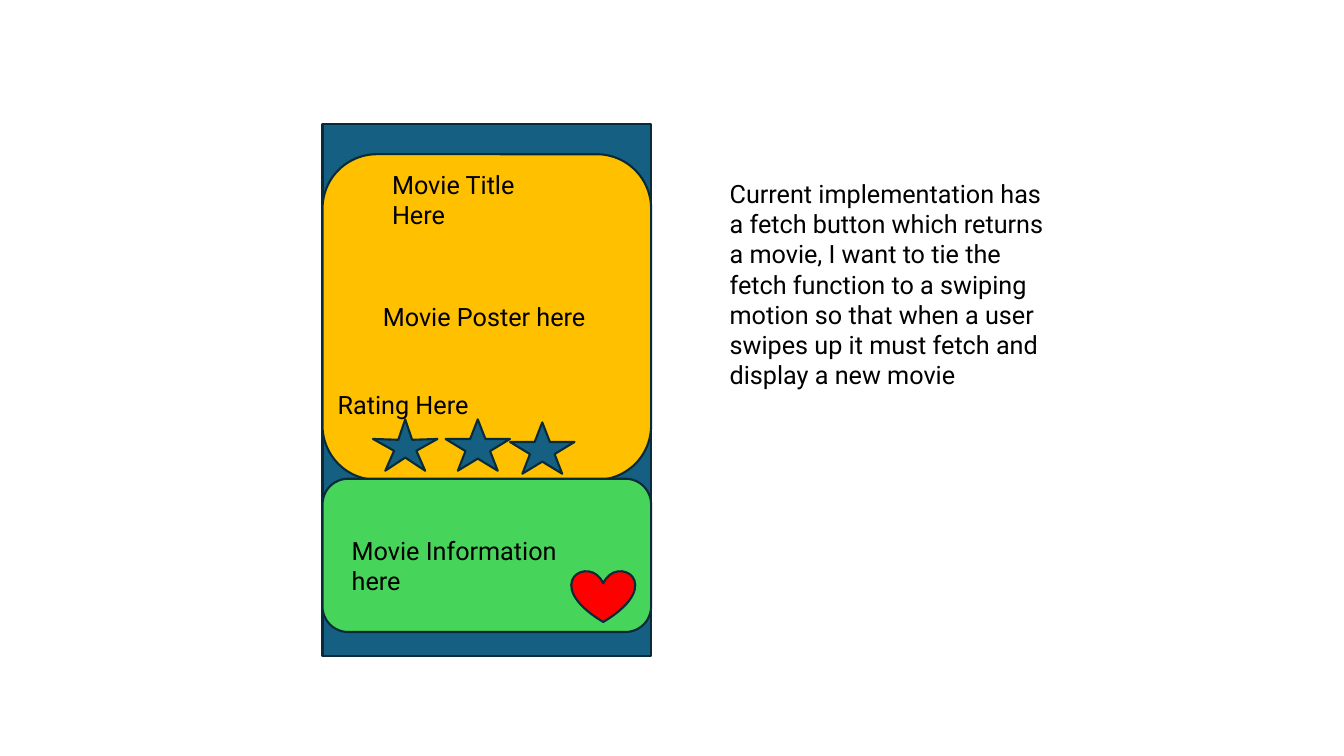
from pptx import Presentation
from pptx import util as u
from pptx.dml.color import RGBColor
from pptx.enum import shapes, text

BLUE = RGBColor(0x15, 0x60, 0x82)
NAVY = RGBColor(0x09, 0x2A, 0x39)
AMBER = RGBColor(0xFF, 0xC0, 0x00)
GREEN = RGBColor(0x47, 0xD4, 0x5A)
RED = RGBColor(0xFF, 0x00, 0x00)
BLACK = RGBColor(0x00, 0x00, 0x00)

WIDTH, HEIGHT = u.Inches(13.33), u.Inches(7.5)
PHONE_LEFT, PHONE_WIDTH = 24, 24.45
STAR_WIDTH, ICON_HEIGHT = 4.8, 6.8
LINE_HEIGHT = 5.33
SLIM_STAR = 0.173

KIND = shapes.MSO_SHAPE
PANELS = [
    (KIND.RECTANGLE, BLUE, 16.4, 70.4),
    (KIND.ROUNDED_RECTANGLE, AMBER, 20.4, 43.07),
    (KIND.ROUNDED_RECTANGLE, GREEN, 63.33, 20.27),
]
STARS = [(27.75, 55.47), (33.15, 55.47), (37.95, 55.87)]
HEART = (42.52, 75.47, 4.73, ICON_HEIGHT)
LABELS = [
    ("Movie Poster here", 27.75, 39.2, 16.8, LINE_HEIGHT),
    ("Movie Information here", 25.43, 70.13, 20.7, LINE_HEIGHT),
    ("Rating Here", 24.38, 50.8, 13.28, LINE_HEIGHT),
    ("Movie Title Here", 28.43, 21.73, 14.93, LINE_HEIGHT),
    ("Current implementation has a fetch button which returns a movie, "
     "I want to tie the fetch function to a swiping motion so that when "
     "a user swipes up it must fetch and display a new movie",
     53.55, 22.93, 25.28, 29.6),
]
FRAME_FORMAT = {"word_wrap": True, "auto_size": text.MSO_AUTO_SIZE.SHAPE_TO_FIT_TEXT}
FONT_FORMAT = {"name": "Roboto", "size": u.Pt(18)}


def place(left, top, width, height):
    return [int(share * side / 100) for share, side in
            zip((left, top, width, height), (WIDTH, HEIGHT) * 2)]


def add_figure(page, kind, color, *shares):
    figure = page.shapes.add_shape(kind, *place(*shares))
    figure.shadow.inherit = False
    figure.fill.solid()
    figure.fill.fore_color.rgb = color
    figure.line.color.rgb = NAVY
    figure.line.width = u.Pt(1.5)
    return figure


def add_label(page, words, *shares):
    frame = page.shapes.add_textbox(*place(*shares)).text_frame
    span = frame.paragraphs[0].add_run()
    span.text = words
    for target, values in ((frame, FRAME_FORMAT), (span.font, FONT_FORMAT)):
        for name, value in values.items():
            setattr(target, name, value)
    span.font.color.rgb = BLACK


def main():
    deck = Presentation()
    deck.slide_width, deck.slide_height = WIDTH, HEIGHT
    page = deck.slides.add_slide(deck.slide_layouts[6])
    for kind, color, top, height in PANELS:
        add_figure(page, kind, color, PHONE_LEFT, top, PHONE_WIDTH, height)
    stars = [add_figure(page, KIND.STAR_5_POINT, BLUE, left, top, STAR_WIDTH, ICON_HEIGHT)
             for left, top in STARS]
    stars[0].adjustments[0] = SLIM_STAR
    add_figure(page, KIND.HEART, RED, *HEART)
    for label in LABELS:
        add_label(page, *label)
    deck.save("out.pptx")


if __name__ == "__main__":
    main()
